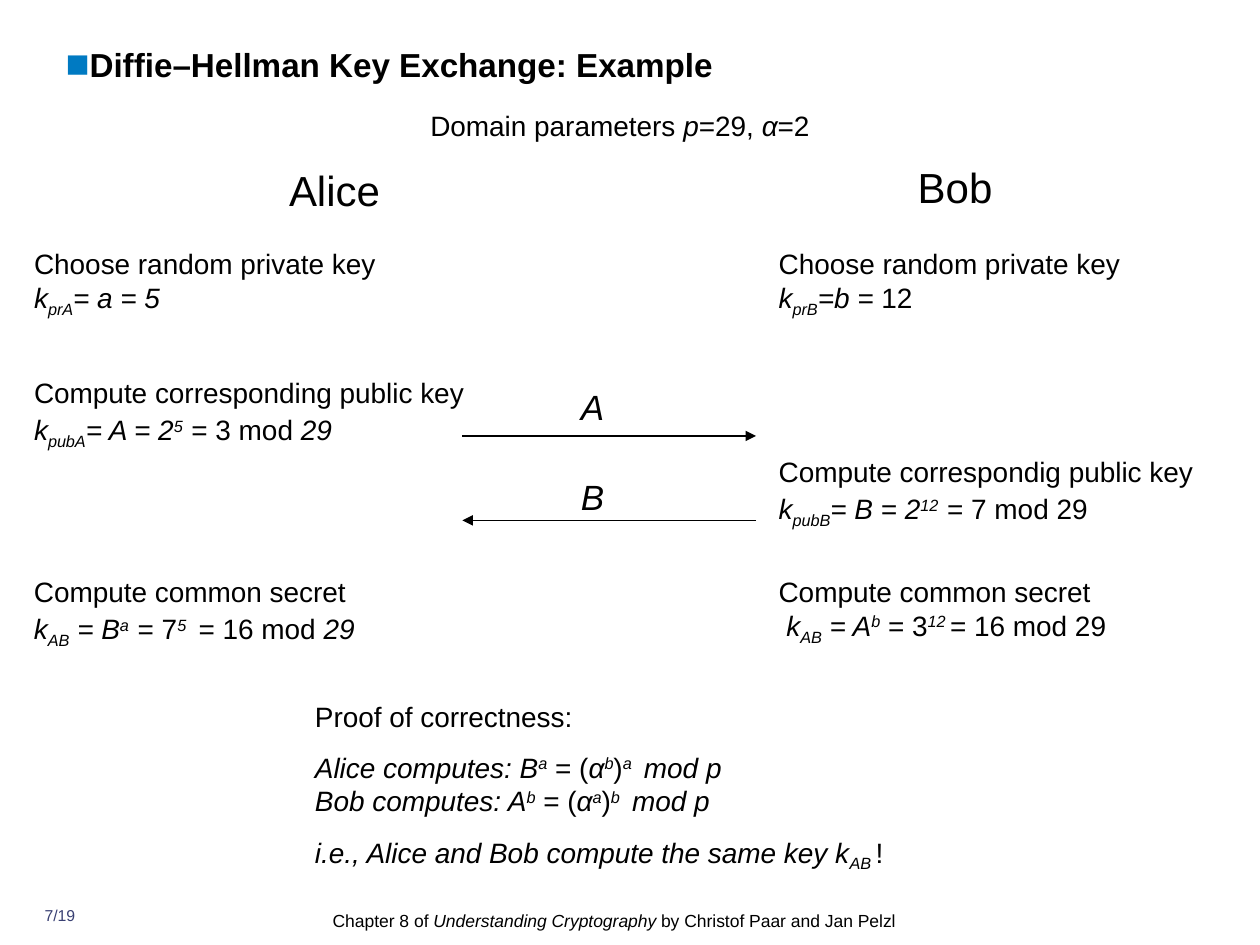
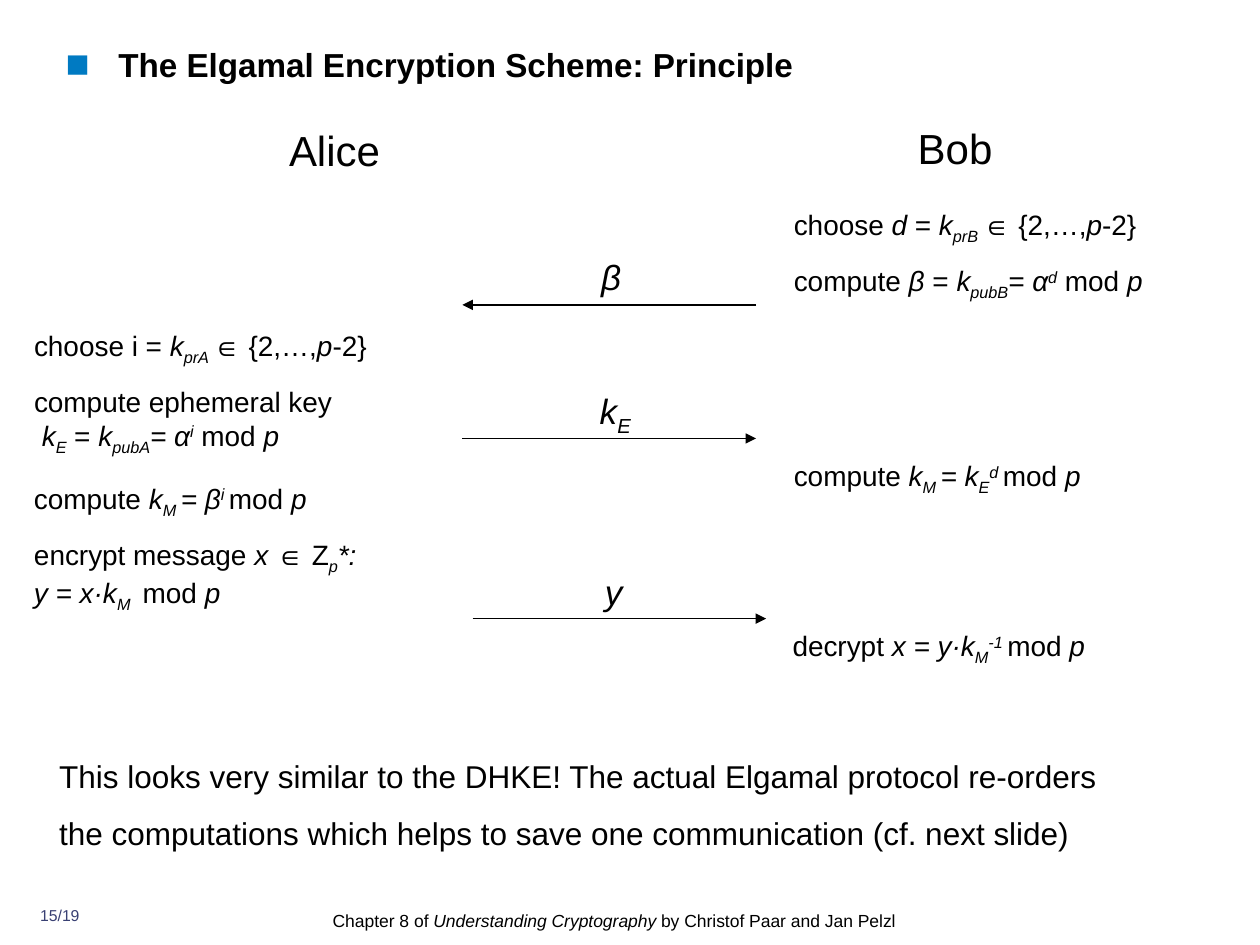
"""Build two slides on Diffie–Hellman key exchange and Elgamal encryption."""
from lxml import etree
from pptx import Presentation
from pptx.dml.color import RGBColor
from pptx.enum.shapes import MSO_CONNECTOR
from pptx.enum.text import MSO_ANCHOR, MSO_AUTO_SIZE, PP_ALIGN
from pptx.oxml.ns import qn
from pptx.util import Inches, Pt

STRAIGHT = MSO_CONNECTOR.STRAIGHT
TOP = MSO_ANCHOR.TOP
NO_AUTOFIT = MSO_AUTO_SIZE.NONE
LEFT, CENTER = PP_ALIGN.LEFT, PP_ALIGN.CENTER
FONT = "Arial"
COLORS = {"text": "000000", "bullet": "007AC2", "page": "394073"}
ITALIC, SUB, SUP, TALL = "italic", "sub", "sup", "tall"
BASELINES = {SUB: "-25000", SUP: "30000"}
ALICE_X = 0.27
NAME_BOXES = {"Alice": (0.31, 4.69), "Bob": (5.16, 4.84)}


def add_runs(p, runs, size, color="text", bold=False):
    for run in runs:
        text, style = (run, "") if isinstance(run, str) else run
        for n, line in enumerate(text.split("\n")):
            if n:
                p.add_line_break()
            if not line:
                continue
            r = p.add_run()
            r.text = line
            r.font.name = FONT
            r.font.size = Pt(18 if style == TALL else size)
            r.font.bold = bold
            r.font.italic = style in (ITALIC, SUB, SUP)
            r.font.color.rgb = RGBColor.from_string(COLORS[color])
            if style in BASELINES:
                r._r.get_or_add_rPr().set("baseline", BASELINES[style])


def add_text(s, box, paragraphs, size=16, align=LEFT, before=10, spacing=1.0, color="text"):
    tf = s.shapes.add_textbox(*[Inches(v) for v in box]).text_frame
    tf.word_wrap = True
    tf.vertical_anchor = TOP
    tf.margin_left = tf.margin_right = tf.margin_top = tf.margin_bottom = 0
    for n, runs in enumerate(paragraphs):
        p = tf.add_paragraph() if n else tf.paragraphs[0]
        p.alignment = align
        p.space_before = Pt(before)
        p.line_spacing = spacing
        add_runs(p, runs, size, color)


key_exchange = {
    "title": "Diffie–Hellman Key Exchange: Example",
    "indent": 0,
    "page": "7/19",
    "names": {"Alice": 1.35, "Bob": 1.33},
    "arrows": [(3.67, 6, 3.46), (6, 3.67, 4.13)],
    "messages": [
        ((4.61, 3.06, 0.39, 0.33), [("A", ITALIC)]),
        ((4.61, 3.77, 0.39, 0.33), [("B", ITALIC)]),
    ],
    "steps": [
        ((ALICE_X, 1.96, 3.62, 0.57), [
            ["Choose random private key\n", ("k", ITALIC), ("prA", SUB), ("= a = 5", ITALIC)]]),
        ((6.18, 1.96, 3.62, 0.57), [
            ["Choose random private key\n", ("k", ITALIC), ("prB", SUB), ("=b =", ITALIC), " 12"]]),
        ((ALICE_X, 2.98, 3.55, 0.6), [
            ["Compute corresponding public key\n", ("k", ITALIC), ("pubA", SUB),
             ("= A = 2", ITALIC), ("5", SUP), (" ", TALL), "= 3 mod ", ("29", ITALIC)]]),
        ((6.18, 3.61, 3.31, 0.6), [
            ["Compute correspondig public key\n", ("k", ITALIC), ("pubB", SUB),
             ("= B = 2", ITALIC), ("12", SUP), (" ", TALL), "= 7 mod 29"]]),
        ((ALICE_X, 4.56, 3.54, 0.6), [
            ["Compute common secret\n", ("k", ITALIC), ("AB", SUB), (" = B", ITALIC),
             ("a", SUP), (" ", TALL), "= 7", ("5 ", SUP), " = 16 mod ", ("29", ITALIC)]]),
        ((6.18, 4.56, 3.54, 0.57), [
            ["Compute common secret\n", (" k", ITALIC), ("AB", SUB), (" = A", ITALIC),
             ("b", SUP), " = 3", ("12 ", SUP), "= 16 mod 29"]]),
        ((2.5, 5.55, 4.77, 1.5), [
            ["Proof of correctness:"],
            [("Alice computes: B", ITALIC), ("a", SUP), " = (", ("α", ITALIC), ("b", SUP), ")",
             ("a ", SUP), (" mod p\nBob computes: A", ITALIC), ("b", SUP), " = (",
             ("α", ITALIC), ("a", SUP), ")", ("b ", SUP), (" mod p", ITALIC)],
            [("i.e., Alice and Bob compute the same key k", ITALIC), ("AB ", SUB), "!"]]),
    ],
}

elgamal = {
    "title": "The Elgamal Encryption Scheme: Principle",
    "indent": 0.42,
    "page": "15/19",
    "names": {"Alice": 1.03, "Bob": 1.02},
    "arrows": [(6, 3.67, 2.42), (3.67, 6, 3.48), (3.75, 6.08, 4.91)],
    "messages": [
        ((4.77, 2.03, 0.39, 0.33), [("β", ITALIC)]),
        ((4.76, 3.09, 0.39, 0.38), [("k", ITALIC), ("E", SUB)]),
        ((4.8, 4.53, 0.2, 0.33), [("y", ITALIC)]),
    ],
    "steps": [
        ((6.3, 1.65, 3.62, 0.75), [
            ["choose ", ("d", ITALIC), " = ", ("k", ITALIC), ("prB ", SUB),
             "∈ {2,…,", ("p", ITALIC), "-2}"],
            ["compute ", ("β", ITALIC), " = ", ("k", ITALIC), ("pubB", SUB), ("= α", ITALIC),
             ("d", SUP), " mod ", ("p", ITALIC)]]),
        ((ALICE_X, 2.61, 3.55, 1.01), [
            ["choose i = ", ("k", ITALIC), ("prA ", SUB), "∈ {2,…,", ("p", ITALIC), "-2}"],
            ["compute ephemeral key\n ", ("k", ITALIC), ("E", SUB), " = ", ("k", ITALIC),
             ("pubA", SUB), ("= α", ITALIC), ("i", SUP), " mod ", ("p", ITALIC)]]),
        ((6.3, 3.64, 3.31, 0.3), [
            ["compute ", ("k", ITALIC), ("M ", SUB), ("= k", ITALIC), ("E", SUB), ("d ", SUP),
             "mod ", ("p", ITALIC)]]),
        ((ALICE_X, 3.82, 3.54, 1.05), [
            ["compute ", ("k", ITALIC), ("M ", SUB), ("= β", ITALIC), ("i ", SUP),
             "mod ", ("p", ITALIC)],
            ["encrypt message ", ("x ", ITALIC), "∈ Z", ("p", SUB), ("*:\ny = x·k", ITALIC),
             ("M ", SUB), " mod ", ("p", ITALIC)]]),
        ((6.29, 4.99, 3.54, 0.3), [
            ["decrypt ", ("x = y·k", ITALIC), ("M", SUB), ("-1 ", SUP), "mod ", ("p", ITALIC)]]),
    ],
}

prs = Presentation()
prs.slide_width, prs.slide_height = Inches(10), Inches(7.5)

for content in (key_exchange, elgamal):
    s = prs.slides.add_slide(prs.slide_layouts[5])

    title = s.shapes.title
    title.left, title.top, title.width, title.height = [Inches(v) for v in (0.52, 0.35, 9.02, 0.66)]
    tf = title.text_frame
    tf.word_wrap = True
    tf.auto_size = NO_AUTOFIT
    tf.vertical_anchor = TOP
    tf.margin_left = tf.margin_right = tf.margin_top = tf.margin_bottom = 0
    p = tf.paragraphs[0]
    p.alignment = LEFT
    p.space_before = Pt(4.8)
    pPr = p._p.get_or_add_pPr()
    pPr.set("marL", str(Inches(content["indent"])))
    pPr.set("indent", str(-Inches(content["indent"])))
    bullet_color = etree.SubElement(pPr, qn("a:buClr"))
    etree.SubElement(bullet_color, qn("a:srgbClr"), val=COLORS["bullet"])
    etree.SubElement(pPr, qn("a:buSzPct"), val="120000")
    etree.SubElement(pPr, qn("a:buFont"), typeface=FONT)
    etree.SubElement(pPr, qn("a:buChar"), char="■")
    add_runs(p, [content["title"]], 19, bold=True)

    for name, top in content["names"].items():
        left, width = NAME_BOXES[name]
        add_text(s, (left, top, width, 0.36), [[name]], 24, CENTER, 7.5, 0.9)

    for start, end, y in content["arrows"]:
        arrow = s.shapes.add_connector(STRAIGHT, Inches(start), Inches(y), Inches(end), Inches(y))
        arrow.line.color.rgb = RGBColor.from_string(COLORS["text"])
        arrow.line.width = Pt(0.75)
        etree.SubElement(arrow.line._get_or_add_ln(), qn("a:tailEnd"), type="triangle")
        etree.SubElement(arrow._element.spPr, qn("a:effectLst"))

    for box, runs in content["messages"]:
        add_text(s, box, [runs], 20, before=12.5)
    for box, paragraphs in content["steps"]:
        add_text(s, box, paragraphs)

    add_text(s, (0.2, 7.19, 0.55, 0.24), [[content["page"]]], 9, CENTER, 0, color="page")
    add_text(s, (2.64, 7.19, 4.73, 0.28), [
        ["Chapter 8 of ", ("Understanding Cryptography", ITALIC),
         " by Christof Paar and Jan Pelzl"]], 10, before=0, spacing=1.2)

add_text(prs.slides[0], (0.31, 0.86, 9.22, 0.27), [
    ["Domain parameters ", ("p", ITALIC), "=29, ", ("α", ITALIC), "=2"]], align=CENTER)
add_text(prs.slides[1], (0.47, 5.86, 8.36, 0.9), [
    ["This looks very similar to the DHKE! The actual Elgamal protocol re-orders "
     "the computations which helps to save one communication (cf. next slide)"]],
    18, before=11.2, spacing=1.5)

prs.save("out.pptx")
